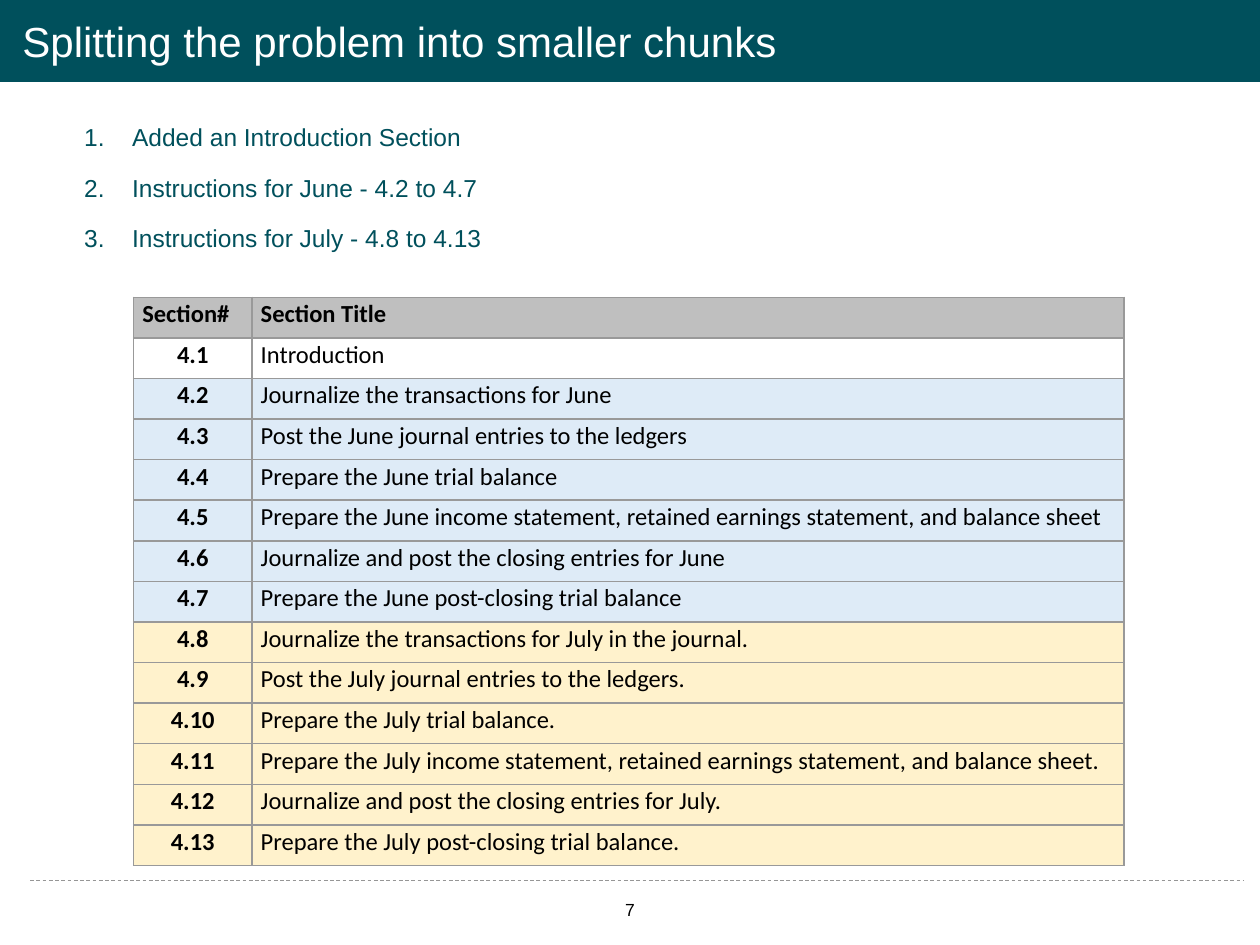
from lxml import etree
from pptx import Presentation
from pptx.dml.color import RGBColor
from pptx.enum.dml import MSO_LINE
from pptx.enum.shapes import MSO_CONNECTOR, MSO_SHAPE
from pptx.enum.text import MSO_ANCHOR, PP_ALIGN
from pptx.oxml.ns import qn
from pptx.util import Emu, Inches, Pt

CENTER, LEFT = PP_ALIGN.CENTER, PP_ALIGN.LEFT
TEAL, BLACK, WHITE = "00505C", "000000", "FFFFFF"
GRAY, BLUE, CREAM = "BFBFBF", "DEEBF7", "FFF2CC"
RULE, EDGE = "969696", "999999"

TITLE = "Splitting the problem into smaller chunks"
STEPS = [
    "Added an Introduction Section",
    "Instructions for June - 4.2 to 4.7",
    "Instructions for July - 4.8 to 4.13",
]
GROUPS = [
    (WHITE, ["Introduction"]),
    (BLUE, [
        "Journalize the transactions for June",
        "Post the June journal entries to the ledgers",
        "Prepare the June trial balance",
        "Prepare the June income statement, retained earnings statement, and balance sheet",
        "Journalize and post the closing entries for June",
        "Prepare the June post-closing trial balance",
    ]),
    (CREAM, [
        "Journalize the transactions for July in the journal.",
        "Post the July journal entries to the ledgers.",
        "Prepare the July trial balance.",
        "Prepare the July income statement, retained earnings statement, and balance sheet.",
        "Journalize and post the closing entries for July.",
        "Prepare the July post-closing trial balance.",
    ]),
]
COLS = [0.94, 6.92]
TOP, TALL = 2.36, 4.51


def rgb(code):
    return RGBColor.from_string(code)


def style(para, size, face, color, bold=False, align=LEFT):
    font = para.font
    font.size, font.name, font.bold = Pt(size), face, bold
    font.color.rgb = rgb(color)
    para.alignment = align


def add_text(slide, box, lines, size, color, align=LEFT, inset=0.1):
    frame = slide.shapes.add_textbox(*map(Inches, box)).text_frame
    frame.word_wrap = True
    frame.margin_left = frame.margin_right = Inches(0.1)
    frame.margin_top = frame.margin_bottom = Inches(inset)
    frame.text = "\n".join(lines)
    for para in frame.paragraphs:
        style(para, size, "Arial", color, align=align)
    return frame


def add_border(cell):
    props = cell._tc.get_or_add_tcPr()
    for side in ("lnL", "lnR", "lnT", "lnB"):
        line = etree.SubElement(props, qn("a:" + side), w=str(Pt(1)))
        fill = etree.SubElement(line, qn("a:solidFill"))
        etree.SubElement(fill, qn("a:srgbClr"), val=EDGE)


def add_number(para):
    props = para._p.get_or_add_pPr()
    props.set("marL", str(Inches(0.38)))
    props.set("indent", str(-Inches(0.38)))
    etree.SubElement(props, qn("a:buFont"), typeface="+mj-lt")
    etree.SubElement(props, qn("a:buAutoNum"), type="arabicPeriod")


def add_frame(slide):
    """Draw the title band, the footer rule and the page number."""
    add_text(slide, (3.72, 7.05, 2.56, 0.37), ["7"], 10, BLACK, CENTER)
    band = slide.shapes.add_shape(MSO_SHAPE.RECTANGLE, 0, 0, Inches(10), Inches(0.65))
    band.shadow.inherit = False
    band.fill.solid()
    band.fill.fore_color.rgb = rgb(TEAL)
    band.line.fill.background()
    rule = slide.shapes.add_connector(
        MSO_CONNECTOR.STRAIGHT, *map(Inches, (0.24, 6.99, 9.87, 6.99)))
    rule.line.color.rgb = rgb(RULE)
    rule.line.width = Pt(0.5)
    rule.line.dash_style = MSO_LINE.DASH
    etree.SubElement(rule._element.spPr, qn("a:effectLst"))
    title = add_text(slide, (0.08, 0.02, 9.48, 0.65), [TITLE], 24, WHITE, inset=0.05)
    title.vertical_anchor = MSO_ANCHOR.MIDDLE
    title.paragraphs[0].line_spacing = 0.9


def add_sections(slide):
    rows = [("Section#", "Section Title", GRAY)]
    for color, names in GROUPS:
        for name in names:
            rows.append((f"4.{len(rows)}", name, color))
    table = slide.shapes.add_table(
        len(rows), len(COLS), Inches(1.06), Inches(TOP),
        Inches(sum(COLS)), Inches(TALL)).table
    table.first_row = table.horz_banding = False
    for col, wide in zip(table.columns, COLS):
        col.width = Inches(wide)
    for r, (*texts, color) in enumerate(rows):
        table.rows[r].height = Emu(Inches(TALL) // len(rows))
        for c, text in enumerate(texts):
            cell = table.cell(r, c)
            cell.margin_left = cell.margin_right = Inches(0.07)
            cell.margin_top = cell.margin_bottom = 0
            add_border(cell)
            cell.fill.solid()
            cell.fill.fore_color.rgb = rgb(color)
            cell.text = text
            para = cell.text_frame.paragraphs[0]
            para.line_spacing = 1.07
            style(para, 14, "Calibri", BLACK, bold=r == 0 or c == 0,
                  align=CENTER if r and c == 0 else LEFT)


def add_steps(slide):
    frame = add_text(slide, (0.57, 0.87, 9.22, 6.02), STEPS, 14, TEAL)
    for para in frame.paragraphs:
        para.space_after = Pt(12)
        add_number(para)


def main():
    deck = Presentation()
    deck.slide_width, deck.slide_height = Inches(10), Inches(7.5)
    slide = deck.slides.add_slide(deck.slide_layouts[6])
    add_frame(slide)
    add_sections(slide)
    add_steps(slide)
    deck.save("out.pptx")


if __name__ == "__main__":
    main()
